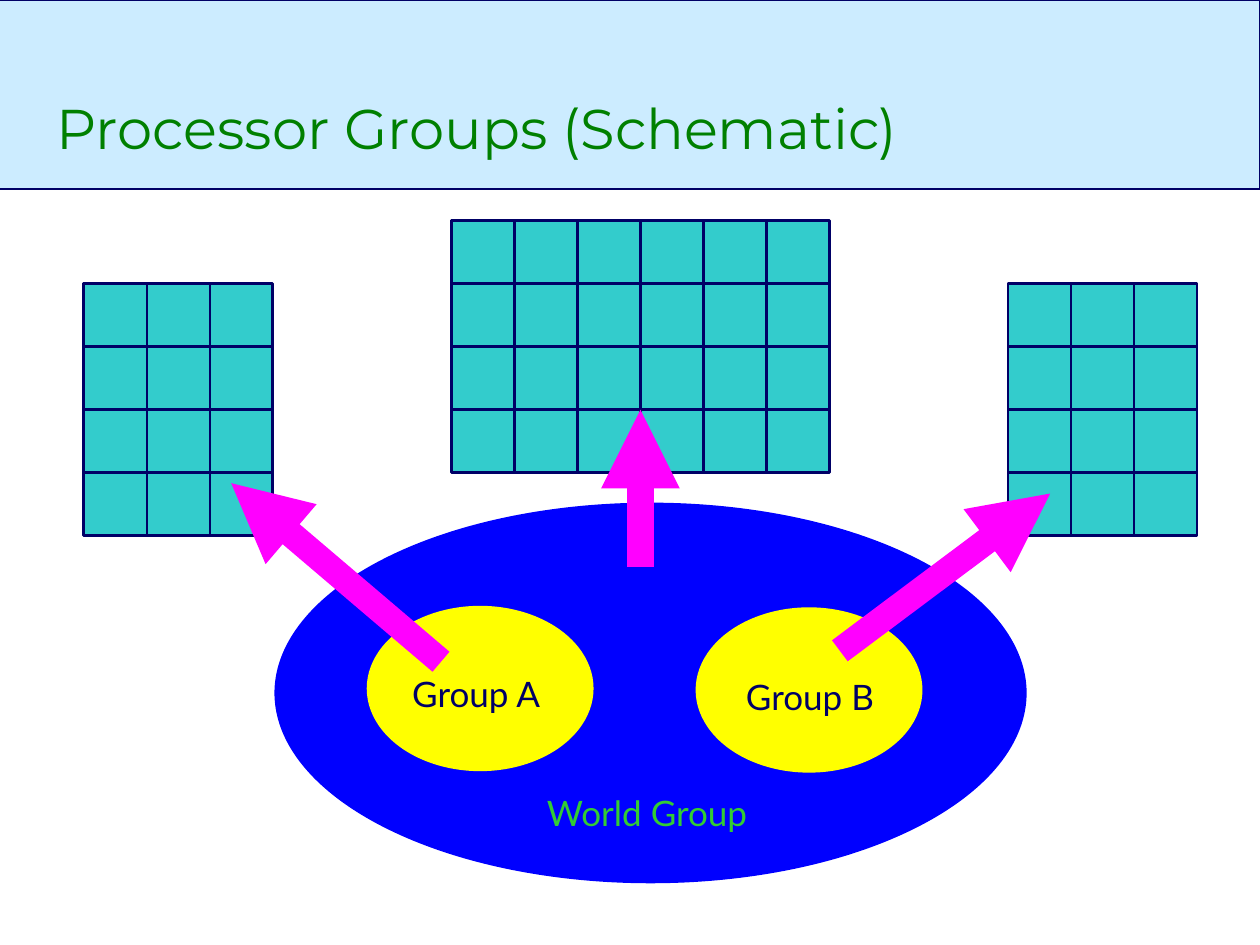
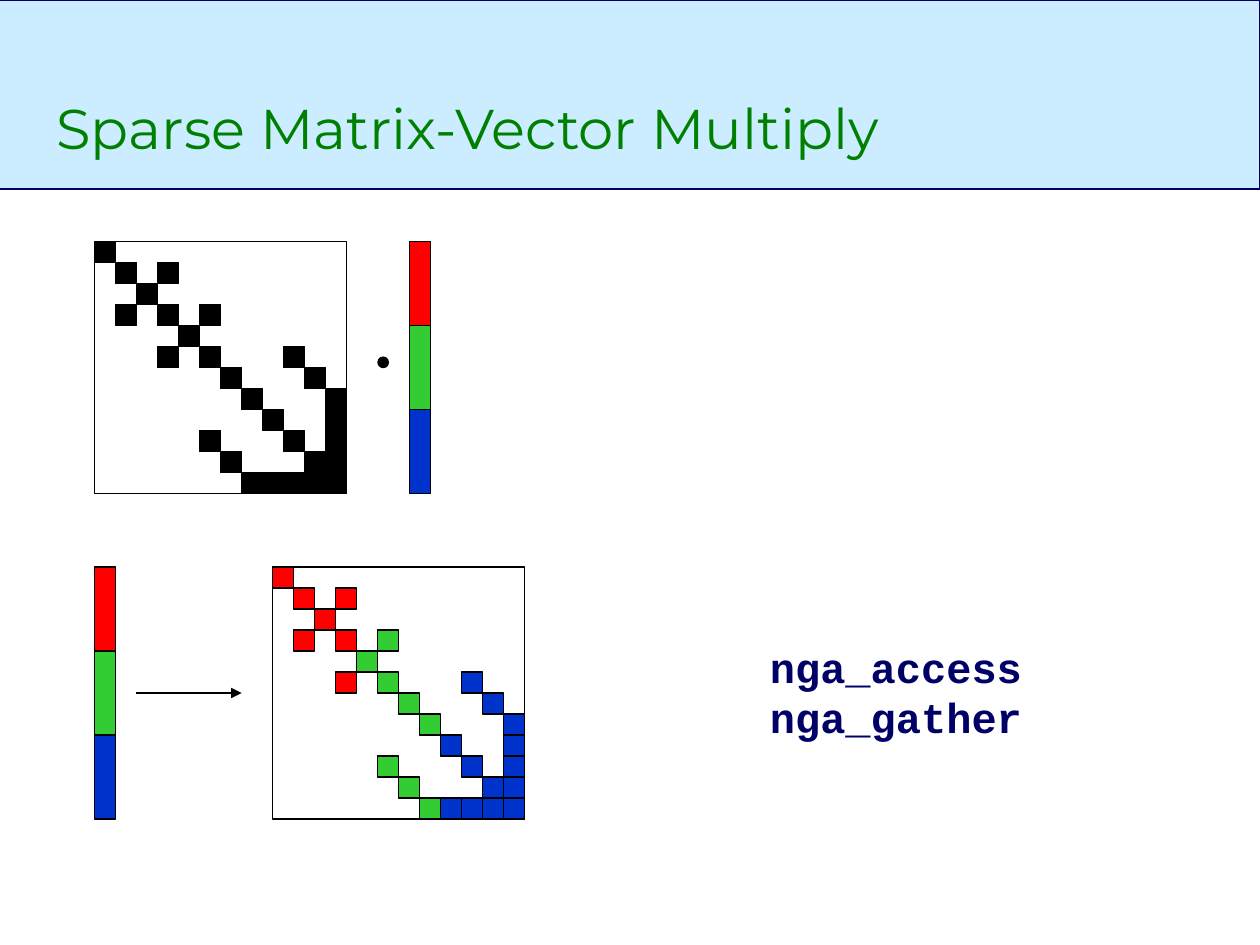
"""Build two slides on processor groups and sparse products."""
from dataclasses import dataclass

from lxml import etree
from pptx import Presentation
from pptx.dml.color import RGBColor
from pptx.enum.shapes import MSO_CONNECTOR, MSO_SHAPE
from pptx.enum.text import MSO_ANCHOR, PP_ALIGN
from pptx.oxml.ns import qn
from pptx.util import Cm, Pt

RECT, OVAL = MSO_SHAPE.RECTANGLE, MSO_SHAPE.OVAL
STRAIGHT = MSO_CONNECTOR.STRAIGHT
LEFT, CENTER = PP_ALIGN.LEFT, PP_ALIGN.CENTER
TOP, BOTTOM = MSO_ANCHOR.TOP, MSO_ANCHOR.BOTTOM

SKY = RGBColor(0xCC, 0xEC, 0xFF)
NAVY = RGBColor(0x00, 0x00, 0x66)
FOREST = RGBColor(0x00, 0x80, 0x00)
BLUE = RGBColor(0x00, 0x00, 0xFF)
YELLOW = RGBColor(0xFF, 0xFF, 0x00)
TEAL = RGBColor(0x33, 0xCC, 0xCC)
PINK = RGBColor(0xFF, 0x00, 0xFF)
BLACK = RGBColor(0x00, 0x00, 0x00)
RED = RGBColor(0xFF, 0x00, 0x00)
GREEN = RGBColor(0x33, 0xCC, 0x33)
COBALT = RGBColor(0x00, 0x33, 0xCC)

THIN, BOLD, THICK = Pt(0.75), Pt(1.5), Pt(15)
NODE = Cm(1.27)
CELL = Cm(5.08) // 12
PARTS = (RED, GREEN, COBALT)
SPAN = 4
ROWS = (
    "#...........",
    ".#.#........",
    "..#.........",
    ".#.#.#......",
    "....#.......",
    "...#.#...#..",
    "......#...#.",
    ".......#...#",
    "........#..#",
    ".....#...#.#",
    "......#...##",
    ".......#####",
)


@dataclass
class Box:
    """Place and size of an object."""
    left: int
    top: int
    width: int
    height: int


@dataclass
class Label:
    """Text with its place and look."""
    box: Box
    lines: tuple[str, ...]
    color: RGBColor = NAVY
    font: str = "Lato"
    size: int = 20
    bold: bool = False
    pitch: float | None = None
    align: PP_ALIGN = CENTER
    anchor: MSO_ANCHOR = TOP
    wrap: bool = False
    inset: tuple[int, int] = (Cm(0.51), Cm(0.38))


@dataclass
class Arrow:
    """A line from a start to an end."""
    start: tuple[int, int]
    end: tuple[int, int]
    color: RGBColor
    weight: int


@dataclass
class Grid:
    """A block of nodes."""
    left: int
    top: int
    cols: int
    rows: int


def add_form(shapes, kind: MSO_SHAPE, box: Box, fill: RGBColor | None,
             edge: RGBColor, weight: int):
    """Draw a flat shape."""
    form = shapes.add_shape(kind, box.left, box.top, box.width, box.height)
    form.shadow.inherit = False
    if fill is None:
        form.fill.background()
    else:
        form.fill.solid()
        form.fill.fore_color.rgb = fill
    form.line.color.rgb = edge
    form.line.width = weight
    return form


def add_line(shapes, line: Arrow, head: bool = False):
    """Draw a straight line, with a head if asked."""
    link = shapes.add_connector(STRAIGHT, *line.start, *line.end)
    link.line.color.rgb = line.color
    link.line.width = line.weight
    if head:
        tail = etree.SubElement(link.line._get_or_add_ln(), qn("a:tailEnd"))
        tail.set("type", "triangle")
    etree.SubElement(link._element.spPr, qn("a:effectLst"))
    return link


def add_label(slide, label: Label) -> None:
    """Write the lines of a label."""
    box = label.box
    frame = slide.shapes.add_textbox(
        box.left, box.top, box.width, box.height).text_frame
    frame.word_wrap = label.wrap
    frame.vertical_anchor = label.anchor
    frame.margin_left = frame.margin_right = label.inset[0]
    frame.margin_top = frame.margin_bottom = label.inset[1]
    for i, text in enumerate(label.lines):
        para = frame.add_paragraph() if i else frame.paragraphs[0]
        para.alignment = label.align
        if label.pitch:
            para.line_spacing = Pt(label.pitch)
        run = para.add_run()
        run.text = text
        run.font.name = label.font
        run.font.size = Pt(label.size)
        run.font.bold = label.bold
        run.font.color.rgb = label.color


def add_slide(deck, title: str):
    """Start a slide with its band and title."""
    slide = deck.slides.add_slide(deck.slide_layouts[6])
    band = Box(Cm(-0.08), 0, Cm(25.48), Cm(3.81))
    add_form(slide.shapes, RECT, band, SKY, NAVY, BOLD)
    place = Box(Cm(0.89), Cm(0.64), Cm(21.11), Cm(2.74))
    add_label(slide, Label(place, (title,), FOREST, "Montserrat", 32,
                           align=LEFT, anchor=BOTTOM, wrap=True,
                           inset=(Cm(0.25), Cm(0.13))))
    return slide


def add_grid(slide, grid: Grid) -> None:
    """Draw a block of nodes and join its middle lines."""
    shapes = slide.shapes.add_group_shape().shapes
    wide, high = grid.cols * NODE, grid.rows * NODE
    right, base = grid.left + wide, grid.top + high
    block = add_form(shapes, RECT, Box(grid.left, grid.top, wide, high),
                     TEAL, NAVY, BOLD)

    def rule(start, end, middle: bool, sides: tuple[int, int]) -> None:
        """Draw one inner line."""
        link = add_line(shapes, Arrow(start, end, NAVY, BOLD))
        if middle:
            link.begin_connect(block, sides[0])
            link.end_connect(block, sides[1])

    for row in range(1, grid.rows):
        y = grid.top + row * NODE
        rule((grid.left, y), (right, y), 2 * row == grid.rows, (1, 3))
    for col in range(1, grid.cols):
        x = grid.left + col * NODE
        rule((x, grid.top), (x, base), 2 * col == grid.cols, (0, 2))


def add_matrix(shapes, left: int, top: int, hues: tuple) -> None:
    """Draw the sparse matrix, one hue for each span of columns."""
    side = len(ROWS) * CELL
    add_form(shapes, RECT, Box(left, top, side, side), None, BLACK, THIN)
    for i, row in enumerate(ROWS):
        for j, mark in enumerate(row):
            if mark == "#":
                cell = Box(left + j * CELL, top + i * CELL, CELL, CELL)
                add_form(shapes, RECT, cell, hues[j // SPAN], BLACK, THIN)


def add_vector(shapes, left: int, top: int) -> None:
    """Draw the vector in its three parts."""
    high = SPAN * CELL
    for i, hue in enumerate(PARTS):
        add_form(shapes, RECT, Box(left, top + i * high, CELL, high),
                 hue, BLACK, THIN)


def draw_groups(deck) -> None:
    """Draw the slide of nested groups."""
    slide = add_slide(deck, "Processor Groups (Schematic)")
    ovals = (
        (Box(Cm(5.56), Cm(10.16), Cm(15.11), Cm(7.62)), BLUE),
        (Box(Cm(7.42), Cm(12.24), Cm(4.52), Cm(3.28)), YELLOW),
        (Box(Cm(14.05), Cm(12.27), Cm(4.52), Cm(3.28)), YELLOW),
    )
    for box, hue in ovals:
        add_form(slide.shapes, OVAL, box, hue, hue, BOLD)
    labels = (
        Label(Box(Cm(10.39), Cm(15.57), Cm(5.31), Cm(1.6)),
              ("World Group",), GREEN),
        Label(Box(Cm(7.72), Cm(13.18), Cm(3.76), Cm(1.6)), ("Group A",)),
        Label(Box(Cm(14.45), Cm(13.23), Cm(3.76), Cm(1.6)), ("Group B",)),
    )
    for label in labels:
        add_label(slide, label)
    grids = (
        Grid(Cm(9.1), Cm(4.45), 6, 4),
        Grid(Cm(1.69), Cm(5.72), 3, 4),
        Grid(Cm(20.32), Cm(5.72), 3, 4),
    )
    for grid in grids:
        add_grid(slide, grid)
    arrows = (
        ((Cm(12.91), Cm(11.43)), (Cm(12.91), Cm(8.26))),
        ((Cm(8.89), Cm(13.34)), (Cm(4.66), Cm(9.74))),
        ((Cm(16.93), Cm(13.12)), (Cm(21.17), Cm(9.95))),
    )
    for start, end in arrows:
        add_line(slide.shapes, Arrow(start, end, PINK, THICK), head=True)


def draw_sparse(deck) -> None:
    """Draw the slide of the sparse product."""
    slide = add_slide(deck, "Sparse Matrix-Vector Multiply")
    left, high, low = Cm(1.9), Cm(4.87), Cm(11.43)

    whole = slide.shapes.add_group_shape().shapes
    add_matrix(whole, left, high, (BLACK,) * len(PARTS))
    add_vector(whole, Cm(8.26), high)
    dot = Box(Cm(7.62), Cm(7.2), Cm(0.21), Cm(0.21))
    add_form(whole, OVAL, dot, BLACK, BLACK, THIN)

    split = slide.shapes.add_group_shape().shapes
    add_matrix(split, Cm(5.5), low, PARTS)
    add_vector(split, left, low)
    add_line(split, Arrow((Cm(2.75), Cm(13.97)), (Cm(4.87), Cm(13.97)),
                          BLACK, THIN), head=True)

    add_label(slide, Label(Box(Cm(15.01), Cm(12.55), Cm(6.1), Cm(2.79)),
                           ("nga_access", "nga_gather"), font="Courier New",
                           size=24, bold=True, pitch=28.8))


def main() -> None:
    """Build and save the deck."""
    deck = Presentation()
    deck.slide_width, deck.slide_height = Cm(25.4), Cm(19.05)
    draw_groups(deck)
    draw_sparse(deck)
    deck.save("out.pptx")


if __name__ == "__main__":
    main()
